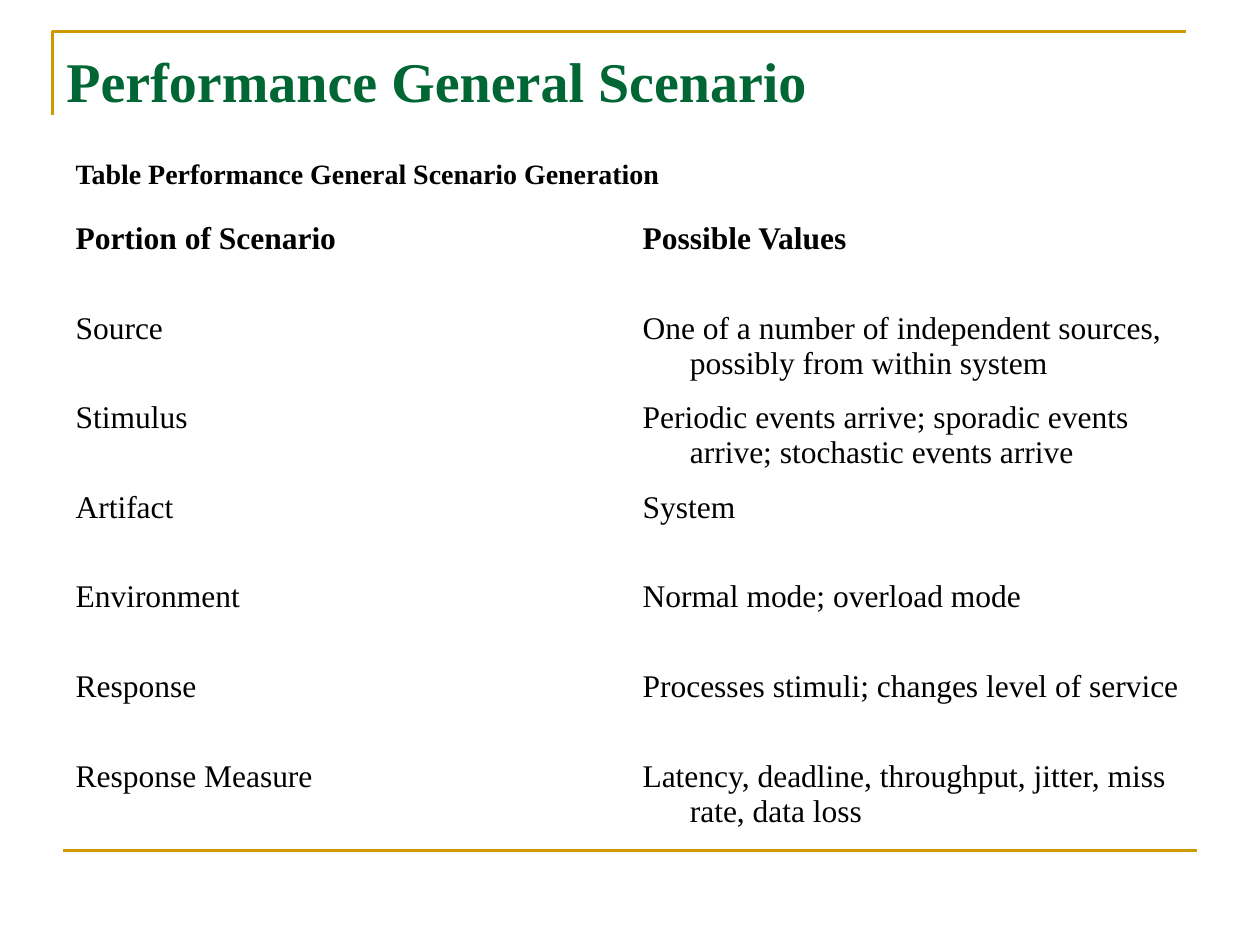
from lxml.etree import SubElement
from pptx import Presentation
from pptx.dml.color import RGBColor
from pptx.enum.shapes import MSO_CONNECTOR
from pptx.enum.text import MSO_ANCHOR, PP_ALIGN
from pptx.oxml.ns import qn
from pptx.util import Pt


def paint(code):
    return RGBColor.from_string(code)


class Deck:
    font = "Times New Roman"
    gold, green, black = "CC9900", "006633", "000000"

    def __init__(self, prs):
        # Layout 5 holds a title only
        self.slide = prs.slides.add_slide(prs.slide_layouts[5])
        self.shapes = self.slide.shapes

    def label(self, para, text, size, color, bold):
        run = para.add_run()
        run.text = text
        font = run.font
        font.name, font.size, font.bold = self.font, Pt(size), bold
        font.color.rgb = paint(color)

    def stroke(self, shape):
        shape.line.color.rgb = paint(self.gold)
        shape.line.width = Pt(1.5)

    def corner(self, start, *points):
        pen = self.shapes.build_freeform(*map(Pt, start))
        pen.add_line_segments([(Pt(x), Pt(y)) for x, y in points], close=False)
        shape = pen.convert_to_shape()
        shape.fill.background()
        shape.shadow.inherit = False
        self.stroke(shape)

    def rule(self, *ends):
        line = self.shapes.add_connector(MSO_CONNECTOR.STRAIGHT, *map(Pt, ends))
        self.stroke(line)
        SubElement(line._element.spPr, qn("a:effectLst"))

    def title(self, text, left, top, width, height):
        box = self.shapes.title
        box.left, box.top = Pt(left), Pt(top)
        box.width, box.height = Pt(width), Pt(height)
        frame = box.text_frame
        frame.word_wrap = True
        frame.vertical_anchor = MSO_ANCHOR.MIDDLE
        para = frame.paragraphs[0]
        para.alignment = PP_ALIGN.LEFT
        self.label(para, text, 32, self.green, True)

    def cell(self, cell, text, size=18, bold=False):
        para = cell.text_frame.paragraphs[0]
        # Hanging indent for wrapped lines
        props = para._p.get_or_add_pPr()
        props.set("marL", str(Pt(27)))
        props.set("indent", str(Pt(-27)))
        self.label(para, text, size, self.black, bold)

    def table(self, caption, rows, left, top, width, first, step):
        count = len(rows) + 1
        grid = self.shapes.add_table(count, 2, Pt(left), Pt(top), Pt(width),
                                     Pt(first + step * len(rows))).table
        grid.first_row = grid.horz_banding = False
        for i, row in enumerate(grid.rows):
            row.height = Pt(step if i else first)
        for cell in grid.iter_cells():
            cell.fill.background()
        # Caption across both columns
        head = grid.cell(0, 0)
        head.merge(grid.cell(0, 1))
        head.vertical_anchor = MSO_ANCHOR.MIDDLE
        self.cell(head, caption, 16, True)
        # Column heads, then scenario parts
        for i, row in enumerate(rows, 1):
            for j, text in enumerate(row):
                self.cell(grid.cell(i, j), text, bold=i == 1)


def main():
    prs = Presentation()
    prs.slide_width, prs.slide_height = Pt(720), Pt(540)
    deck = Deck(prs)

    # Gold frame lines
    deck.corner((30, 66), (30, 18), (678, 18))
    deck.rule(36, 486, 684, 486)

    # Title and scenario table
    deck.title("Performance General Scenario", 30.75, 20, 648, 51)
    deck.table("Table Performance General Scenario Generation", [
        ("Portion of Scenario", "Possible Values"),
        ("Source", "One of a number of independent sources, "
                   "possibly from within system"),
        ("Stimulus", "Periodic events arrive; sporadic events arrive; "
                     "stochastic events arrive"),
        ("Artifact", "System"),
        ("Environment", "Normal mode; overload mode"),
        ("Response", "Processes stimuli; changes level of service"),
        ("Response Measure", "Latency, deadline, throughput, jitter, "
                             "miss rate, data loss"),
    ], left=36, top=77, width=648, first=46, step=51.2)

    prs.save("out.pptx")


if __name__ == "__main__":
    main()
